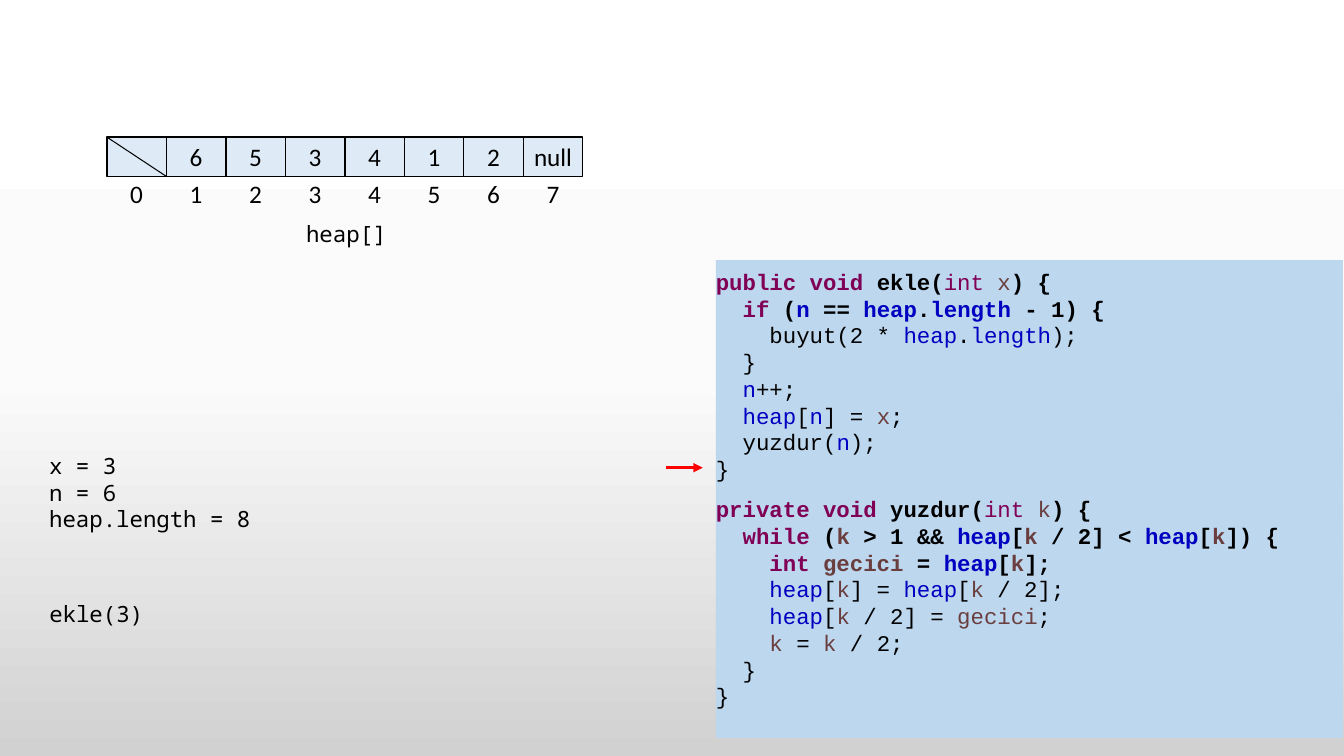
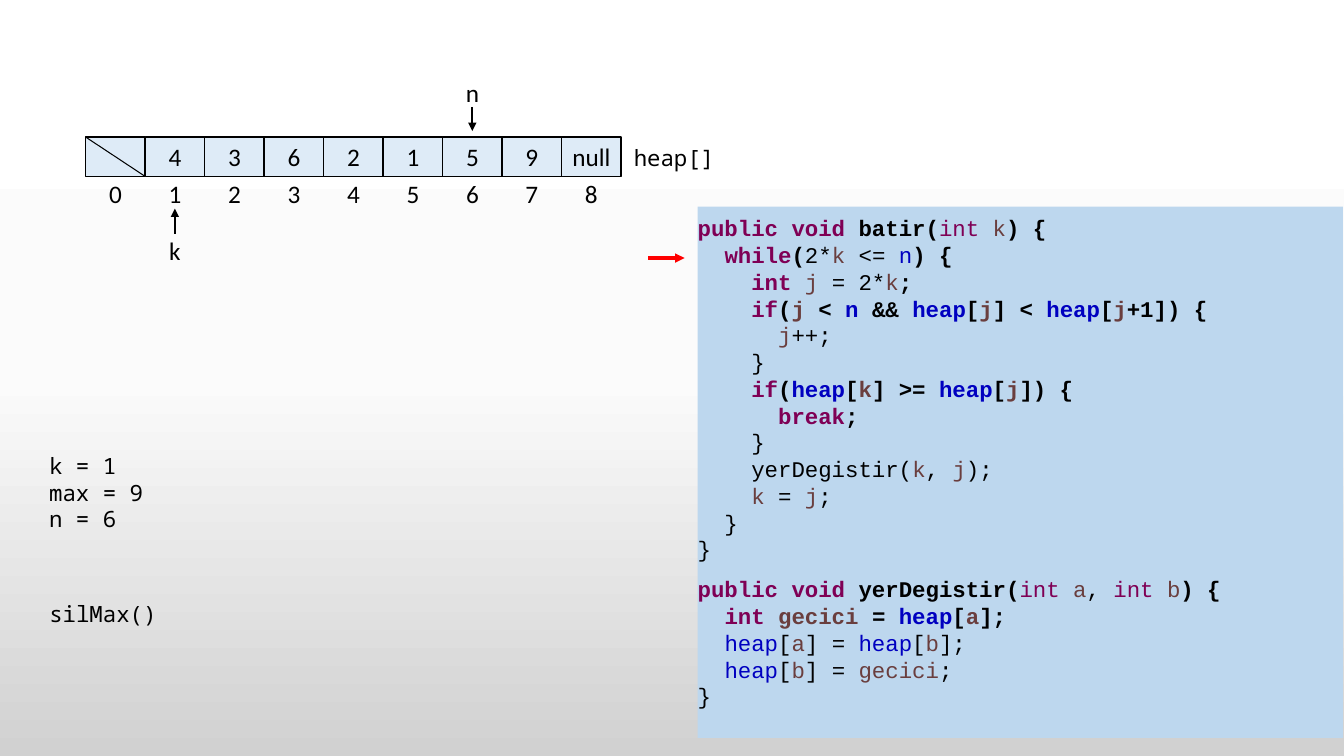
import copy
import itertools

import pptx
import pptx.dml.color
import pptx.enum.shapes
import pptx.enum.text
import pptx.oxml
import pptx.oxml.ns
import pptx.util
from pptx.util import Inches, Pt

# Content: a backtick in the code switches bold on and off
SLIDES = [
    {
        "array_left": 1.06,
        "values": ["", "6", "5", "3", "4", "1", "2", "null"],
        "array_label": (2.93, 2.14),
        "pointers": [],
        "state": ["x = 3", "n = 6", "heap.length = 8"],
        "call": "ekle(3)",
        "code_at": (7.1, 2.58),
        "current_y": 4.64,
        "methods": [
            """`public void ekle(`int x`) {`
`  if (n == heap.length - 1) {`
    buyut(2 * heap.length);
  }
  n++;
  heap[n] = x;
  yuzdur(n);
}""",
            """`private void yuzdur(`int k`) {`
`  while (k > 1 && heap[k / 2] < heap[k]) {`
`    int gecici = heap[k];`
    heap[k] = heap[k / 2];
    heap[k / 2] = gecici;
    k = k / 2;
  }
}""",
        ],
    },
    {
        "array_left": 0.85,
        "values": ["", "4", "3", "6", "2", "1", "5", "9", "null"],
        "array_label": (6.18, 1.38),
        # name, index, top of name, arrow start, arrow tip
        "pointers": [("n", 6, 0.72, 1.06, 1.3), ("k", 1, 2.29, 2.32, 2.07)],
        "state": ["k = 1", "max = 9", "n = 6"],
        "call": "silMax()",
        "code_at": (6.92, 2.05),
        "current_y": 2.56,
        "methods": [
            """`public void batir(`int k`) {`
`  while(`2*k <= n`) {`
`    int `j = 2*k`;`
`    if(j < n && heap[j] < heap[j+1]) {`
      j++;
    }
`    if(heap[k] >= heap[j]) {`
`      break;`
    }
    yerDegistir(k, j);
    k = j;
  }
}""",
            """`public void yerDegistir(`int a, int b`) {`
`  int gecici = heap[a];`
  heap[a] = heap[b];
  heap[b] = gecici;
}""",
        ],
    },
]

# Shared look
BACKGROUND = ["FFFFFF", "FBFBFB", "D1D1D1"]
BLACK, RED, CELL_FILL, CODE_FILL = "000000", "FF0000", "DEEBF7", "BDD7EE"
SYNTAX = {
    "7F0055": "public private void int if while break",
    "0000C0": "n heap length",
    "6A3E3E": "x k j a b gecici",
}
WORD_COLORS = {word: hue for hue, words in SYNTAX.items() for word in words.split()}
BODY_FONT, LABEL_FONT, CODE_FONT = "Calibri", "Noto Sans Mono", "Courier New"
MONO_LINE = Pt(19.1)
CELL_W, CELL_H, CELL_TOP, INDEX_TOP = 0.59, 0.39, 1.36, 1.72
CODE_RIGHT, CODE_BOTTOM = 13.32, 7.32
LEFT, CENTER = pptx.enum.text.PP_ALIGN.LEFT, pptx.enum.text.PP_ALIGN.CENTER
TOP, MIDDLE, BOTTOM = (pptx.enum.text.MSO_ANCHOR.TOP,
                       pptx.enum.text.MSO_ANCHOR.MIDDLE,
                       pptx.enum.text.MSO_ANCHOR.BOTTOM)


def color(hex_value):
    return pptx.dml.color.RGBColor.from_string(hex_value)


def add_run(paragraph, text, font, size, hue=BLACK, bold=False):
    run = paragraph.add_run()
    run.text = text
    run.font.name, run.font.size, run.font.bold = font, Pt(size), bold
    run.font.color.rgb = color(hue)


def paragraphs(frame, count):
    return [frame.paragraphs[0]] + [frame.add_paragraph() for _ in range(count - 1)]


def fill_text(frame, lines, font, size, align, anchor):
    frame.word_wrap = False
    frame.vertical_anchor = anchor
    for paragraph, line in zip(paragraphs(frame, len(lines)), lines):
        paragraph.alignment = align
        if font == LABEL_FONT:
            paragraph.line_spacing = MONO_LINE
        add_run(paragraph, line, font, size)


def add_label(slide, lines, left, top, width, height,
              font=LABEL_FONT, size=16, align=LEFT, anchor=TOP):
    box = slide.shapes.add_textbox(*map(Inches, (left, top, width, height)))
    fill_text(box.text_frame, lines, font, size, align, anchor)


def add_rect(slide, left, top, width, height, hue):
    rect = slide.shapes.add_shape(pptx.enum.shapes.MSO_SHAPE.RECTANGLE,
                                  *map(Inches, (left, top, width, height)))
    rect.shadow.inherit = False
    rect.fill.solid()
    rect.fill.fore_color.rgb = color(hue)
    return rect


def add_line(slide, start, end, hue, width, arrow=True):
    line = slide.shapes.add_connector(pptx.enum.shapes.MSO_CONNECTOR.STRAIGHT,
                                      *map(Inches, start + end))
    line.line.color.rgb = color(hue)
    line.line.width = Pt(width)
    if arrow:
        outline = line.line._get_or_add_ln()
        outline.append(pptx.oxml.parse_xml(
            f'<a:tailEnd {pptx.oxml.ns.nsdecls("a")} type="triangle"/>'))
    line._element.spPr.append(pptx.oxml.parse_xml(
        f'<a:effectLst {pptx.oxml.ns.nsdecls("a")}/>'))


def set_background(master):
    fill = master.background.fill
    fill.gradient()
    fill.gradient_angle = 270
    stops = master.element.find(".//" + pptx.oxml.ns.qn("a:gsLst"))
    stops.insert(1, copy.deepcopy(stops[0]))
    for stop, hue, position in zip(fill.gradient_stops, BACKGROUND, (0, 0.5, 1)):
        stop.color.rgb = color(hue)
        stop.position = position


def add_array(slide, left, values):
    for index, value in enumerate(values):
        x = left + index * CELL_W
        cell = add_rect(slide, x, CELL_TOP, CELL_W, CELL_H, CELL_FILL)
        cell.line.color.rgb = color(BLACK)
        cell.line.width = Pt(1)
        if value:
            fill_text(cell.text_frame, [value], BODY_FONT, 18, CENTER, MIDDLE)
        add_label(slide, [str(index)], x, INDEX_TOP, CELL_W, 0.4,
                  BODY_FONT, 18, CENTER)
    # Index 0 is unused and crossed out
    add_line(slide, (left, CELL_TOP), (left + CELL_W, CELL_TOP + CELL_H),
             BLACK, 0.75, arrow=False)


def add_pointer(slide, array_left, name, index, name_top, start, tip):
    x = array_left + index * CELL_W
    middle = x + CELL_W / 2
    add_label(slide, [name], x, name_top, CELL_W, 0.4, BODY_FONT, 18, CENTER)
    add_line(slide, (middle, start), (middle, tip), BLACK, 1.5)


def code_runs(line):
    """Split a line into [text, hue, bold]; spaces keep the hue before them."""
    runs = []
    for part, text in enumerate(line.split("`")):
        bold = part % 2 == 1
        for kind, letters in itertools.groupby(
                text, lambda c: "space" if c == " " else c.isalnum()):
            token = "".join(letters)
            hue = WORD_COLORS.get(token, BLACK)
            if kind == "space" and runs:
                hue = runs[-1][1]
            if runs and runs[-1][1:] == [hue, bold]:
                runs[-1][0] += token
            else:
                runs.append([token, hue, bold])
    return runs


def add_code(slide, left, top, methods):
    panel = add_rect(slide, left, top, CODE_RIGHT - left, CODE_BOTTOM - top, CODE_FILL)
    panel.line.fill.background()
    frame = panel.text_frame
    frame.word_wrap = True
    frame.vertical_anchor = TOP
    frame.margin_left = frame.margin_right = 0
    frame.margin_top = frame.margin_bottom = Inches(0.08)
    lines = [(method > 0 and row == 0, line) for method, source in enumerate(methods)
             for row, line in enumerate(source.split("\n"))]
    for paragraph, (starts_method, line) in zip(paragraphs(frame, len(lines)), lines):
        paragraph.alignment = LEFT
        paragraph.line_spacing = MONO_LINE
        if starts_method:
            paragraph.space_before = Pt(9.5)
        for text, hue, bold in code_runs(line):
            add_run(paragraph, text, CODE_FONT, 16, hue, bold)


def main():
    deck = pptx.Presentation()
    deck.slide_width, deck.slide_height = Inches(13.33), Inches(7.5)
    set_background(deck.slide_master)
    for content in SLIDES:
        slide = deck.slides.add_slide(deck.slide_layouts[6])
        # Heap array with its pointers
        array_left = content["array_left"]
        add_array(slide, array_left, content["values"])
        add_label(slide, ["heap[]"], *content["array_label"], 1.01, 0.37, align=CENTER)
        for pointer in content["pointers"]:
            add_pointer(slide, array_left, *pointer)
        # Variables and the call being traced
        add_label(slide, content["state"], 0.39, 4.42, 2.23, 0.91, anchor=BOTTOM)
        add_label(slide, [content["call"]], 0.39, 5.9, 1.28, 0.37, anchor=BOTTOM)
        # Code with the current line marked
        code_left, code_top = content["code_at"]
        add_code(slide, code_left, code_top, content["methods"])
        y = content["current_y"]
        add_line(slide, (code_left - 0.49, y), (code_left - 0.13, y), RED, 2.25)
    deck.save("out.pptx")


if __name__ == "__main__":
    main()
